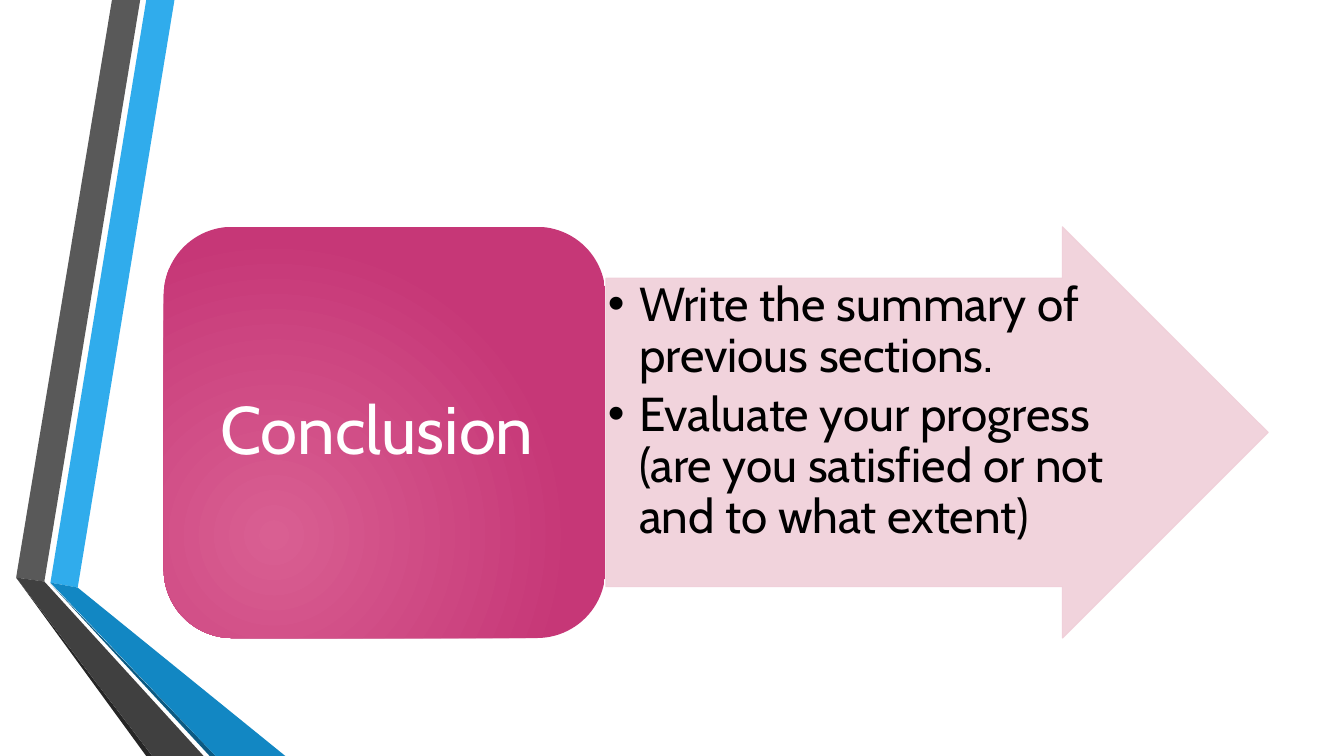
from dataclasses import dataclass

from lxml.etree import SubElement
from pptx import Presentation
from pptx.dml.color import RGBColor
from pptx.enum.shapes import MSO_SHAPE
from pptx.enum.text import MSO_ANCHOR, PP_ALIGN
from pptx.oxml.ns import qn
from pptx.util import Inches, Pt


@dataclass(frozen=True)
class Theme:
    """Colours, type sizes and grid of the slide."""
    font: str = "Cabin"
    ink: str = "000000"
    light: str = "FFFFFF"
    pale: str = "F0CFD9"
    glow: str = "D95F92"
    rose: str = "C63777"
    title: int = 48
    body: int = 34
    wide: int = Inches(13.33)
    high: int = Inches(7.5)


THEME = Theme()

BANDS = [
    ("30ACEC", [(3.75, 77.07), (5.78, 77.73), (12.98, 0), (10.88, 0)]),
    ("595959", [(10.43, 0), (8.33, 0), (1.2, 76.4), (3.3, 76.93)]),
    ("262626", [(1.2, 76.4), (10.88, 100), (11.33, 100)]),
    ("0C5A82", [(3.75, 77.2), (15.6, 100), (16.05, 100)]),
    ("1287C3", [(3.75, 77.07), (16.05, 100), (21.23, 100), (5.78, 77.73)]),
    ("404040", [(1.2, 76.4), (11.33, 100), (15.15, 100), (3.3, 76.93)]),
]

POINTS = [
    "Write the summary of previous sections.",
    "Evaluate your progress (are you satisfied or not and to what extent)",
]


def col(num):
    """Return the length of num hundredths of the slide's width."""
    return round(THEME.wide * num / 100)


def row(num):
    """Return the length of num hundredths of the slide's height."""
    return round(THEME.high * num / 100)


def paint(fill, tint):
    """Make a fill solid."""
    fill.solid()
    fill.fore_color.rgb = RGBColor.from_string(tint)


def fade(fill):
    """Set the alpha of a solid fill to 90 percent."""
    tint = fill.find(qn("a:solidFill"))[0]
    SubElement(tint, qn("a:alpha"), val="90000")


def add_band(slide, tint, spots):
    """Draw one filled piece of the side ribbon."""
    ends = [(col(x), row(y)) for x, y in spots]
    form = slide.shapes.build_freeform(*ends[0], scale=1.0)
    form.add_line_segments(ends[1:], close=True)
    band = form.convert_to_shape()
    band.shadow.inherit = False
    paint(band.fill, tint)
    band.line.fill.background()


def add_block(slide, kind, left, top, wide, high):
    """Add a preset shape without a shadow."""
    block = slide.shapes.add_shape(kind, col(left), row(top), col(wide), row(high))
    block.shadow.inherit = False
    return block


def set_frame(frame, anchor, side, edge):
    """Set wrapping, anchor and margins of a text frame."""
    frame.word_wrap = True
    frame.vertical_anchor = anchor
    frame.margin_left = frame.margin_right = side
    frame.margin_top = frame.margin_bottom = edge


def write(para, text, size, tint, align):
    """Add one run and the line spacing to a paragraph."""
    para.alignment = align
    para.line_spacing = 0.9
    run = para.add_run()
    run.text = text
    run.font.name = THEME.font
    run.font.size = Pt(size)
    run.font.color.rgb = RGBColor.from_string(tint)


def add_dot(para):
    """Give a paragraph a hanging round bullet."""
    props = para._p.get_or_add_pPr()
    props.set("marL", str(Inches(0.31)))
    props.set("indent", str(-Inches(0.31)))
    SubElement(props, qn("a:buFont"), typeface="Arial")
    SubElement(props, qn("a:buChar"), char="•")


def add_arrow(slide):
    """Draw the pale arrow."""
    arrow = add_block(slide, MSO_SHAPE.RIGHT_ARROW, 45.08, 30, 49.28, 54.4)
    arrow.adjustments[0] = 0.75
    arrow.adjustments[1] = 0.5
    paint(arrow.fill, THEME.pale)
    paint(arrow.line.fill, THEME.pale)
    arrow.line.width = Pt(0.75)
    props = arrow.element.spPr
    fade(props)
    fade(props.find(qn("a:ln")))


def add_list(slide):
    """Write the bullet list over the arrow."""
    box = slide.shapes.add_textbox(col(45.08), row(36.8), col(37.8), row(40.8))
    frame = box.text_frame
    edge = Inches(0.02)
    set_frame(frame, MSO_ANCHOR.TOP, edge, edge)
    for num, text in enumerate(POINTS):
        para = frame.add_paragraph() if num else frame.paragraphs[0]
        add_dot(para)
        para.space_after = Pt(5)
        write(para, text, THEME.body, THEME.ink, PP_ALIGN.LEFT)


def add_label(slide):
    """Draw the rounded title block with its radial glow."""
    block = add_block(slide, MSO_SHAPE.ROUNDED_RECTANGLE, 12.18, 30, 32.87, 54.4)
    block.line.fill.background()
    block.fill.gradient()
    for stop, tint in zip(block.fill.gradient_stops, (THEME.glow, THEME.rose)):
        stop.color.rgb = RGBColor.from_string(tint)
    grad = block.element.spPr.find(qn("a:gradFill"))
    grad.remove(grad.find(qn("a:lin")))
    ring = SubElement(grad, qn("a:path"), path="circle")
    SubElement(ring, qn("a:fillToRect"), l="50000", t="100000", r="100000", b="50000")
    set_frame(block.text_frame, MSO_ANCHOR.MIDDLE, Inches(0.2), Inches(0.1))
    write(block.text_frame.paragraphs[0], "Conclusion ", THEME.title,
          THEME.light, PP_ALIGN.CENTER)


def main():
    """Build and save the slide."""
    deck = Presentation()
    deck.slide_width, deck.slide_height = THEME.wide, THEME.high
    slide = deck.slides.add_slide(deck.slide_layouts[6])
    paint(slide.background.fill, THEME.light)
    for tint, spots in BANDS:
        add_band(slide, tint, spots)
    add_arrow(slide)
    add_list(slide)
    add_label(slide)
    deck.save("out.pptx")


if __name__ == "__main__":
    main()
